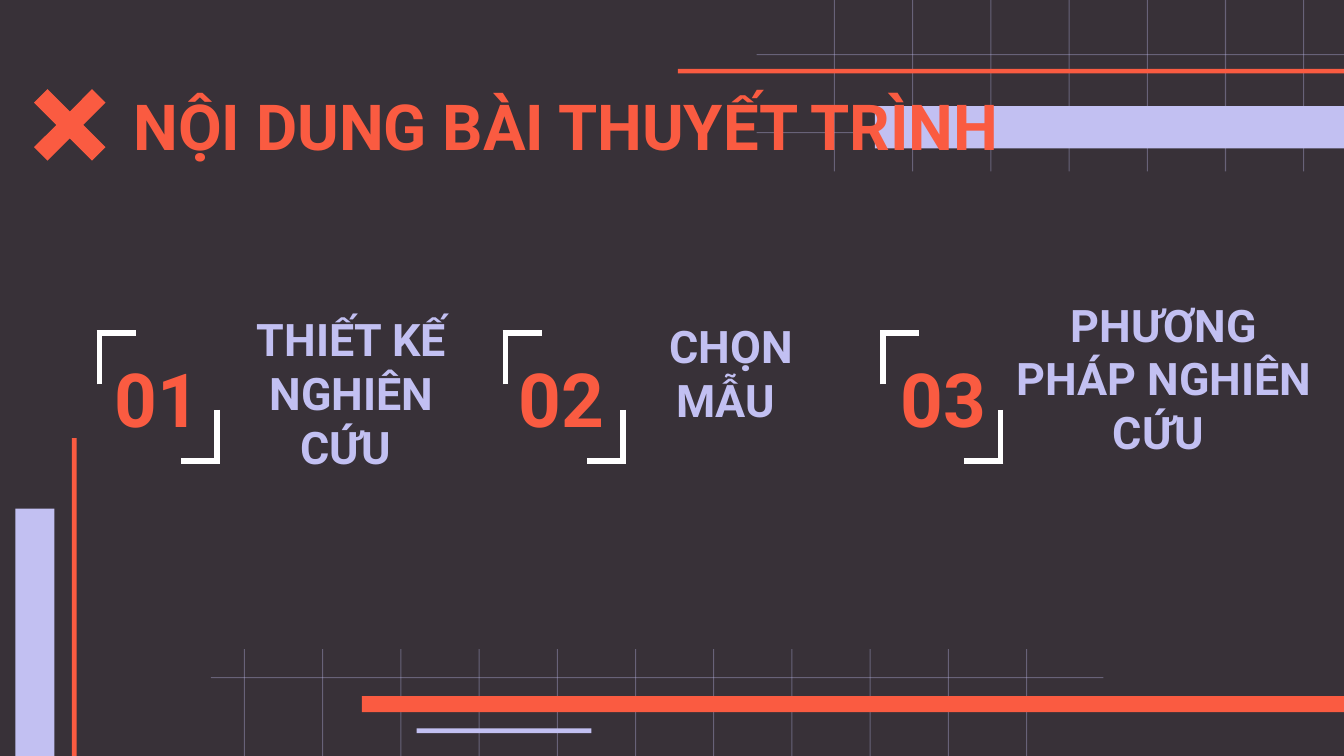
from dataclasses import dataclass

from lxml import etree
from pptx import Presentation
from pptx.dml.color import RGBColor
from pptx.enum.shapes import MSO_CONNECTOR, MSO_SHAPE
from pptx.enum.text import MSO_ANCHOR, PP_ALIGN
from pptx.oxml.ns import qn
from pptx.util import Emu, Pt

RECTANGLE = MSO_SHAPE.RECTANGLE
CROSS = MSO_SHAPE.MATH_MULTIPLY
STRAIGHT = MSO_CONNECTOR.STRAIGHT
LEFT, CENTER = PP_ALIGN.LEFT, PP_ALIGN.CENTER
MIDDLE = MSO_ANCHOR.MIDDLE

# The page is a grid of square cells, 0.1 inch each
CELL = 91440
COLUMNS, ROWS = 100, 56.25


@dataclass(frozen=True)
class Theme:
    background: str = "383138"
    accent: str = "FA5B41"
    lilac: str = "C2C0F2"
    white: str = "FFFFFF"
    font: str = "Roboto"
    heading_size: int = 34
    number_size: int = 40
    topic_size: int = 24
    bracket_width: int = 3
    grid_opacity: int = 35


def cells(count):
    return Emu(round(count * CELL))


def rgb(value):
    return RGBColor.from_string(value)


def write_text(frame, text, *, font, size, color, align=LEFT, bold=True):
    frame.word_wrap = True
    frame.vertical_anchor = MIDDLE
    frame.margin_left = frame.margin_right = cells(1)
    frame.margin_top = frame.margin_bottom = cells(1)
    para = frame.paragraphs[0]
    para.alignment = align
    span = para.add_run()
    span.text = text
    span.font.name = font
    span.font.size = Pt(size)
    span.font.bold = bold
    span.font.color.rgb = rgb(color)


class Page:
    """Holds the theme and the slide being drawn."""

    def __init__(self, deck, theme):
        self.theme = theme
        self.slide = deck.slides.add_slide(deck.slide_layouts[6])
        fill = self.slide.background.fill
        fill.solid()
        fill.fore_color.rgb = rgb(theme.background)

    def shape(self, column, row, width, height, color, kind=RECTANGLE, opacity=100):
        shape = self.slide.shapes.add_shape(
            kind, cells(column), cells(row), cells(width), cells(height))
        shape.shadow.inherit = False
        shape.line.fill.background()
        shape.fill.solid()
        shape.fill.fore_color.rgb = rgb(color)
        if opacity < 100:
            tint = shape.fill._xPr.find(".//" + qn("a:srgbClr"))
            etree.SubElement(tint, qn("a:alpha"), val=str(opacity * 1000))
        return shape

    def text(self, text, column, row, width, height, size, color, align=CENTER):
        box = self.slide.shapes.add_textbox(
            cells(column), cells(row), cells(width), cells(height))
        write_text(box.text_frame, text, font=self.theme.font, size=size,
                   color=color, align=align)

    def line(self, start, end):
        line = self.slide.shapes.add_connector(
            STRAIGHT, *map(cells, start), *map(cells, end))
        line.line.color.rgb = rgb(self.theme.white)
        line.line.width = Pt(self.theme.bracket_width)
        etree.SubElement(line._element.spPr, qn("a:effectLst"))

    def grid(self, first_column, count, top, bottom, left, right, rows):
        step, hairline = 5.82, 0.08
        look = {"color": self.theme.lilac, "opacity": self.theme.grid_opacity}
        for index in range(count):
            self.shape(first_column + index * step, top, hairline, bottom - top, **look)
        for row in rows:
            self.shape(left, row, right - left, hairline, **look)

    def brackets(self, left):
        top, bottom, right = 24.8, 34.3, left + 8.75
        arm_width, arm_height, overlap = 2.7, 3.8, 0.2
        for column, row, side in ((left, top, 1), (right, bottom, -1)):
            self.line((column, row + side * arm_height), (column, row))
            self.line((column - side * overlap, row), (column + side * arm_width, row))


def main():
    theme = Theme()
    deck = Presentation()
    deck.slide_width, deck.slide_height = cells(COLUMNS), cells(ROWS)
    page = Page(deck, theme)

    # Cross beside the heading
    cross = page.shape(1.05, 5.15, 8.3, 8.3, theme.accent, kind=CROSS)
    cross.adjustments[0] = 0.171

    # Faint grids at the top right and the bottom
    page.grid(62.05, 7, top=0, bottom=12.75, left=56.3, right=COLUMNS, rows=(4.03, 9.83))
    page.grid(18.15, 11, top=48.3, bottom=ROWS, left=15.7, right=82.1, rows=(50.38,))

    # Colour bars
    for column, row, width, height, color in (
        (26.93, 51.8, COLUMNS - 26.93, 1.2, theme.accent),
        (1.15, 37.85, 2.9, ROWS - 37.85, theme.lilac),
        (5.35, 32.6, 0.35, ROWS - 32.6, theme.accent),
        (31, 54.2, 13, 0.35, theme.lilac),
        (65.1, 7.9, COLUMNS - 65.1, 3.15, theme.lilac),
        (50.45, 5.13, COLUMNS - 50.45, 0.33, theme.accent),
    ):
        page.shape(column, row, width, height, color)

    # Heading
    page.text("NỘI DUNG BÀI THUYẾT TRÌNH", 8.95, 5.85, 80.8, 6.9,
              theme.heading_size, theme.accent, align=LEFT)

    # Numbered topics: number column, bracket column, then the topic's box
    topics = (
        (7.3, 7.4, "THIẾT KẾ NGHIÊN CỨU ", 15.6, 27.05, 21.1),
        (37.35, 37.6, "CHỌN MẪU ", 45.6, 25.6, 17.6),
        (65.8, 65.7, "PHƯƠNG PHÁP NGHIÊN CỨU ", 73.9, 25.97, 25.4),
    )
    for number, (number_column, bracket_column, topic, column, row, width) in enumerate(topics, 1):
        page.text(topic, column, row, width, 4.3, theme.topic_size, theme.lilac)
        page.text(f"{number:02}", number_column, 27.43, 8.8, 4.3,
                  theme.number_size, theme.accent)
        page.brackets(bracket_column)

    deck.save("out.pptx")


if __name__ == "__main__":
    main()
